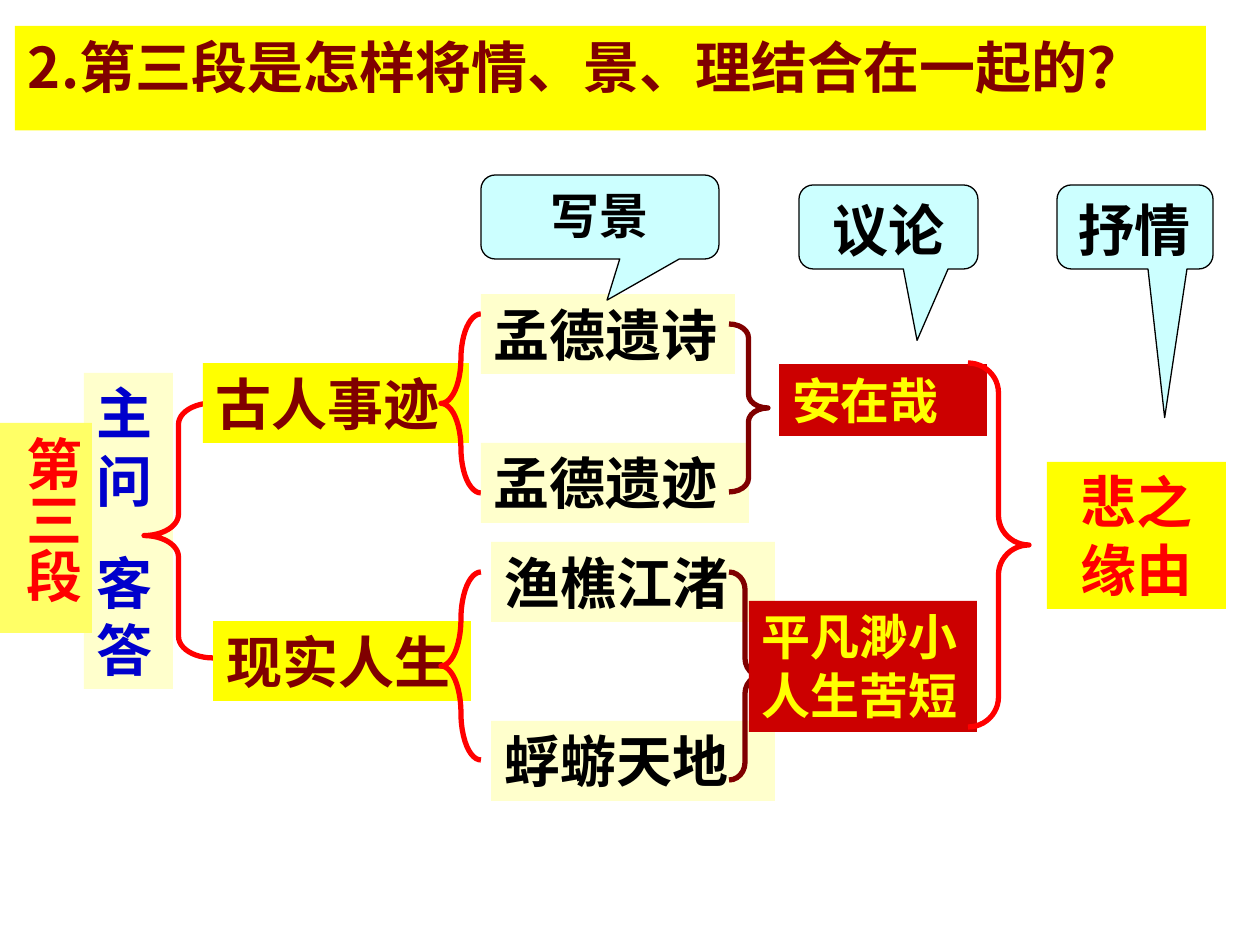
from lxml.etree import SubElement
from pptx import Presentation
from pptx.dml.color import RGBColor
from pptx.enum.shapes import MSO_SHAPE
from pptx.enum.text import MSO_ANCHOR, MSO_AUTO_SIZE, PP_ALIGN
from pptx.oxml.ns import qn
from pptx.util import Emu, Pt

COLORS = {
    "yellow": "FFFF00", "pale": "FFFF66", "cream": "FFFFCC", "cyan": "CCFFFF",
    "red": "FF0000", "crimson": "CC0000", "maroon": "800000",
    "blue": "0000CC", "black": "000000",
}
SCALE = 914400 / 126
CJK_FONT = "Noto Sans CJK SC"
SERIF = "Times New Roman"


class DiagramSlide:
    def __init__(self, slide):
        self.slide = slide

    def color(self, name):
        return RGBColor.from_string(COLORS[name])

    def lengths(self, bounds):
        return [Emu(round(value * SCALE)) for value in bounds]

    def fill(self, shape, name):
        shape.fill.solid()
        shape.fill.fore_color.rgb = self.color(name)

    def label(self, shape, lines, ink, size=32, font=SERIF, align=PP_ALIGN.LEFT,
              grow=True, vertical=False):
        frame = shape.text_frame
        margins = (6, 13, 6, 13) if vertical else (13, 6, 13, 6)
        left, top, right, bottom = self.lengths(margins)
        settings = {
            "margin_left": left, "margin_top": top,
            "margin_right": right, "margin_bottom": bottom,
            "word_wrap": True, "vertical_anchor": MSO_ANCHOR.TOP,
            "auto_size": MSO_AUTO_SIZE.SHAPE_TO_FIT_TEXT if grow else MSO_AUTO_SIZE.NONE,
        }
        for name, value in settings.items():
            setattr(frame, name, value)
        if vertical:
            frame._txBody.bodyPr.set("vert", "eaVert")
        for index, line in enumerate(lines):
            para = frame.paragraphs[0] if index == 0 else frame.add_paragraph()
            para.alignment = align
            para.space_before = Pt(20 if index else 0)
            span = para.add_run()
            span.text = line
            for name, value in {"name": font, "size": Pt(size), "bold": True}.items():
                setattr(span.font, name, value)
            span.font.color.rgb = self.color(ink)
            SubElement(span._r.get_or_add_rPr(), qn("a:ea"), typeface=CJK_FONT)

    def title(self, bounds, text):
        title = self.slide.shapes.title
        title.left, title.top, title.width, title.height = self.lengths(bounds)
        self.fill(title, "yellow")
        self.label(title, [text], "maroon", font=CJK_FONT)

    def box(self, bounds, lines, fill, ink, **style):
        box = self.slide.shapes.add_shape(MSO_SHAPE.RECTANGLE, *self.lengths(bounds))
        box.shadow.inherit = False
        self.fill(box, fill)
        box.line.fill.background()
        self.label(box, lines, ink, **style)

    def brace(self, kind, bounds, curve, ink, middle=0.5):
        brace = self.slide.shapes.add_shape(kind, *self.lengths(bounds))
        brace.shadow.inherit = False
        brace.adjustments[0] = curve
        brace.adjustments[1] = middle
        brace.fill.background()
        brace.line.color.rgb = self.color(ink)
        brace.line.width = Pt(3)

    def callout(self, bounds, pointer, text, size):
        callout = self.slide.shapes.add_shape(
            MSO_SHAPE.ROUNDED_RECTANGULAR_CALLOUT, *self.lengths(bounds))
        callout.shadow.inherit = False
        for index, value in enumerate((*pointer, 0.17)):
            callout.adjustments[index] = value
        self.fill(callout, "cyan")
        callout.line.color.rgb = self.color("black")
        callout.line.width = Pt(0.75)
        self.label(callout, [text], "black", size=size, font="Arial",
                   align=PP_ALIGN.CENTER, grow=False)


def main():
    deck = Presentation()
    deck.slide_width, deck.slide_height = Emu(9144000), Emu(6858000)
    page = DiagramSlide(deck.slides.add_slide(deck.slide_layouts[5]))
    left, right = MSO_SHAPE.LEFT_BRACE, MSO_SHAPE.RIGHT_BRACE

    page.title((15, 26, 1191, 80), "2.第三段是怎样将情、景、理结合在一起的？")
    page.box((84, 373, 89, 316), ["主问", "客答"], "cream", "blue")
    page.brace(left, (144, 403, 69, 255), 0.31, "red", 0.52)

    for bounds, text in [((203, 363, 266, 80), "古人事迹"),
                         ((213, 621, 258, 80), "现实人生")]:
        page.box(bounds, [text], "yellow", "maroon")
    for top, height in [(314, 179), (572, 188)]:
        page.brace(left, (441, top, 40, height), height / 160, "red")

    for bounds, text in [((481, 294, 254, 80), "孟德遗诗"),
                         ((481, 443, 268, 80), "孟德遗迹"),
                         ((491, 542, 284, 80), "渔樵江渚"),
                         ((491, 721, 284, 80), "蜉蝣天地")]:
        page.box(bounds, [text], "cream", "black")
    page.brace(right, (729, 324, 39, 168), 0.35, "maroon")
    page.brace(right, (729, 572, 32, 208), 0.55, "maroon")

    for bounds, text in [((779, 364, 208, 72), "安在哉"),
                         ((749, 601, 228, 131), "平凡渺小人生苦短")]:
        page.box(bounds, [text], "crimson", "yellow", size=28)
    page.brace(right, (968, 363, 61, 364), 0.49, "red")
    page.box((1047, 462, 179, 147), ["悲之缘由"], "yellow", "red", align=PP_ALIGN.CENTER)
    page.box((0, 423, 92, 210), ["第三段"], "pale", "red", vertical=True)

    page.callout((481, 175, 238, 84), (0.03, 0.99), "写景", 28)
    page.callout((799, 185, 179, 84), (0.16, 1.35), "议论", 32)
    page.callout((1057, 185, 156, 84), (0.19, 2.27), "抒情", 32)
    deck.save("out.pptx")


if __name__ == "__main__":
    main()
